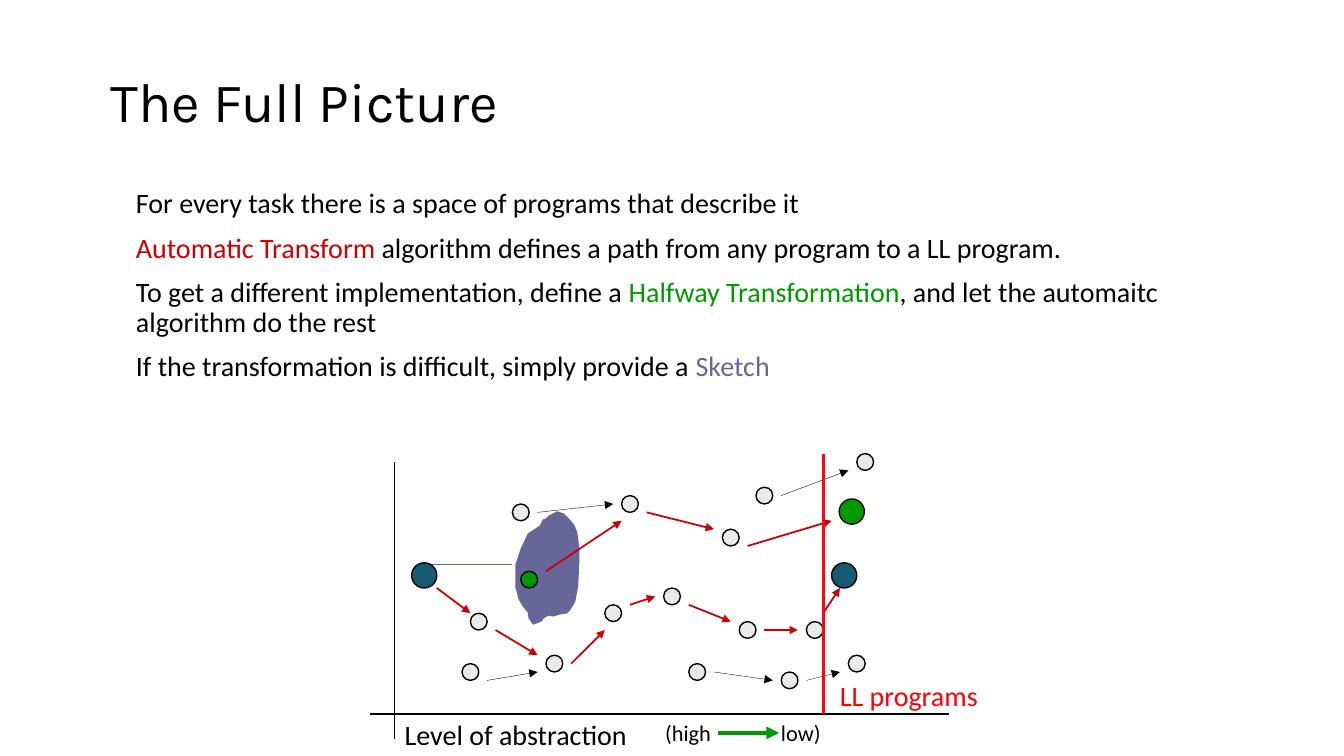
from lxml import etree
from pptx import Presentation
from pptx.dml.color import RGBColor
from pptx.enum.shapes import MSO_CONNECTOR, MSO_SHAPE
from pptx.enum.text import MSO_ANCHOR
from pptx.oxml.ns import qn
from pptx.util import Cm, Pt

STRAIGHT = MSO_CONNECTOR.STRAIGHT
OVAL = MSO_SHAPE.OVAL
TOP, MIDDLE = MSO_ANCHOR.TOP, MSO_ANCHOR.MIDDLE

GRID_CM = 2.54 / 12
BLACK, GREY, TEAL = "000000", "EAEAEA", "175B73"
RED, GREEN, VIOLET, BRIGHT_RED = "CC0000", "009900", "666699", "FF0000"

BODY = [
    [("For every task there is a space of programs that describe it", BLACK)],
    [("Automatic Transform", RED),
     (" algorithm defines a path from any program to a LL program.", BLACK)],
    [("To get a different implementation, define a ", BLACK),
     ("Halfway Transformation", GREEN),
     (", and let the automaitc algorithm do the rest", BLACK)],
    [("If the transformation is difficult, simply provide a ", BLACK),
     ("Sketch", VIOLET)],
]
SKETCH_OUTLINE = [
    (574, 558), (573, 581), (570, 597), (565, 605), (562, 608), (555, 609),
    (549, 611), (544, 610), (539, 613), (537, 616), (529, 619), (525, 613),
    (524, 607), (519, 601), (515, 594), (513, 586), (512, 583), (511.5, 560),
    (517, 545), (524, 530.5), (536, 522), (539, 516), (542, 515), (545, 512),
    (553, 508), (559, 510), (564, 515), (569, 521), (572, 528), (573.5, 543),
]
PROGRAMS = [
    (56, 73), (65, 78), (72, 72), (79, 70), (88, 74), (96, 74), (61, 60),
    (82, 79), (86, 63), (55, 79), (74, 59), (90, 58), (93, 80), (101, 78),
    (102, 54),
]
OTHER_STEPS = [
    (58, 81, 64, 80), (64, 61, 73, 60), (93, 59, 101, 56),
    (85, 80, 92, 81), (96, 81, 100, 80),
]
AUTOMATIC_STEPS = [
    (52, 70, 56, 73), (59, 75, 64, 78), (68, 79, 72, 75), (75, 72, 78, 71),
    (82, 72, 87, 74), (91, 75, 95, 75), (98, 73, 100, 70),
]
HALFWAY_STEPS = [(77, 61, 85, 63), (89, 65, 99, 62), (65, 68, 74, 62)]


def grid(n):
    """Return the length of n grid units."""
    return Cm(n * GRID_CM)


def rgb(color):
    """Return a colour from a hex string."""
    return RGBColor.from_string(color)


def paint(sp, fill, line):
    """Fill and outline a shape without shadow."""
    sp.shadow.inherit = False
    sp.fill.solid()
    sp.fill.fore_color.rgb = rgb(fill)
    sp.line.color.rgb = rgb(line)
    sp.line.width = Pt(1)


def add_node(s, x, y, size=2, color=GREY):
    """Draw a program as a circle."""
    paint(s.shapes.add_shape(OVAL, *map(grid, (x, y, size, size))), color, BLACK)


def add_line(s, ends, color, width, arrow=False):
    """Draw a straight line, with an arrowhead if asked."""
    line = s.shapes.add_connector(STRAIGHT, *map(grid, ends))
    line.line.color.rgb = rgb(color)
    line.line.width = Pt(width)
    spPr = line._element.spPr
    if arrow:
        etree.SubElement(spPr.find(qn("a:ln")), qn("a:tailEnd"), type="triangle")
    etree.SubElement(spPr, qn("a:effectLst"))


def add_sketch(s):
    """Draw the sketch as a region of programs."""
    builder = s.shapes.build_freeform(*SKETCH_OUTLINE[0], scale=Cm(0.0254))
    builder.add_line_segments(SKETCH_OUTLINE[1:], close=True)
    paint(builder.convert_to_shape(), VIOLET, VIOLET)


def add_text(s, box, paragraphs, size=20, font="Calibri", anchor=TOP,
             spacing=1.0, before=0, indent=0, tab=None):
    """Add a text box of paragraphs, each a list of (text, colour) runs."""
    tf = s.shapes.add_textbox(*map(grid, box)).text_frame
    tf.word_wrap = True
    tf.vertical_anchor = anchor
    for i, runs in enumerate(paragraphs):
        p = tf.add_paragraph() if i else tf.paragraphs[0]
        p.line_spacing = spacing
        p.space_before = Pt(before if i else 0)
        pPr = p._p.get_or_add_pPr()
        pPr.set("marL", str(grid(indent)))
        if tab:
            tabs = etree.SubElement(pPr, qn("a:tabLst"))
            etree.SubElement(tabs, qn("a:tab"), pos=str(grid(tab)), algn="l")
        for text, color in runs:
            r = p.add_run()
            r.text = text
            r.font.size = Pt(size)
            r.font.name = font
            r.font.color.rgb = rgb(color)


def add_axes(s):
    """Draw the axes and the label of the abstraction level."""
    add_line(s, (47, 55, 47, 88), BLACK, 1)
    add_line(s, (44, 85, 113, 85), BLACK, 1)
    add_text(s, (47, 84.8, 30, 5.2), [[("Level of abstraction", BLACK)]])
    add_text(s, (78, 85, 23, 4.4), [[("(high\tlow)", BLACK)]], size=16, tab=13.8)
    add_line(s, (85.5, 87.25, 92.75, 87.25), GREEN, 3, arrow=True)


def add_paths(s):
    """Draw the programs and the transformations between them."""
    for x, y in PROGRAMS:
        add_node(s, x, y)
    add_axes(s)
    for steps, color, width in ((OTHER_STEPS, BLACK, 0.25),
                                (AUTOMATIC_STEPS, RED, 1.25),
                                (HALFWAY_STEPS, RED, 1.25)):
        for ends in steps:
            add_line(s, ends, color, width, arrow=True)
    add_node(s, 49, 67, 3, TEAL)
    add_node(s, 99, 67, 3, TEAL)
    add_node(s, 99.9, 59.4, 3, GREEN)
    add_node(s, 62, 68, 2, GREEN)


def main():
    """Build the slide and save it."""
    prs = Presentation()
    prs.slide_width, prs.slide_height = grid(160), grid(90)
    s = prs.slides.add_slide(prs.slide_layouts[6])
    add_sketch(s)
    add_line(s, (51, 67.2, 61, 67.2), VIOLET, 1.25)
    add_text(s, (12, 8, 136, 9), [[("The Full Picture", BLACK)]],
             size=39.6, font="Karla", anchor=MIDDLE, spacing=0.9)
    add_text(s, (12, 22, 136, 28), BODY, spacing=0.9, before=10, indent=3)
    add_paths(s)
    add_line(s, (98, 54, 98, 85), "FF0707", 2.25)
    add_text(s, (98.8, 80.2, 20, 5.2), [[("LL programs", BRIGHT_RED)]])
    prs.save("out.pptx")


if __name__ == "__main__":
    main()
